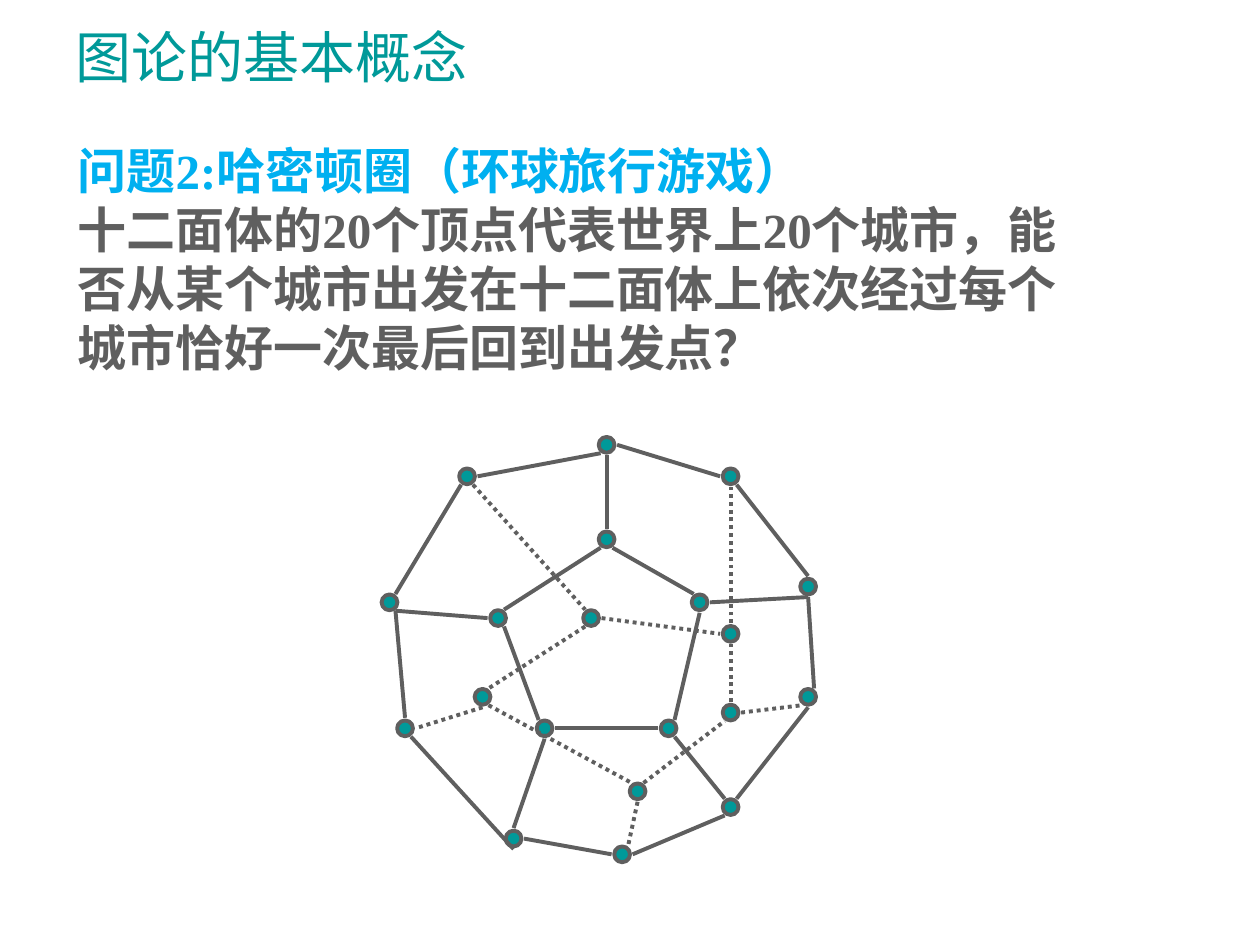
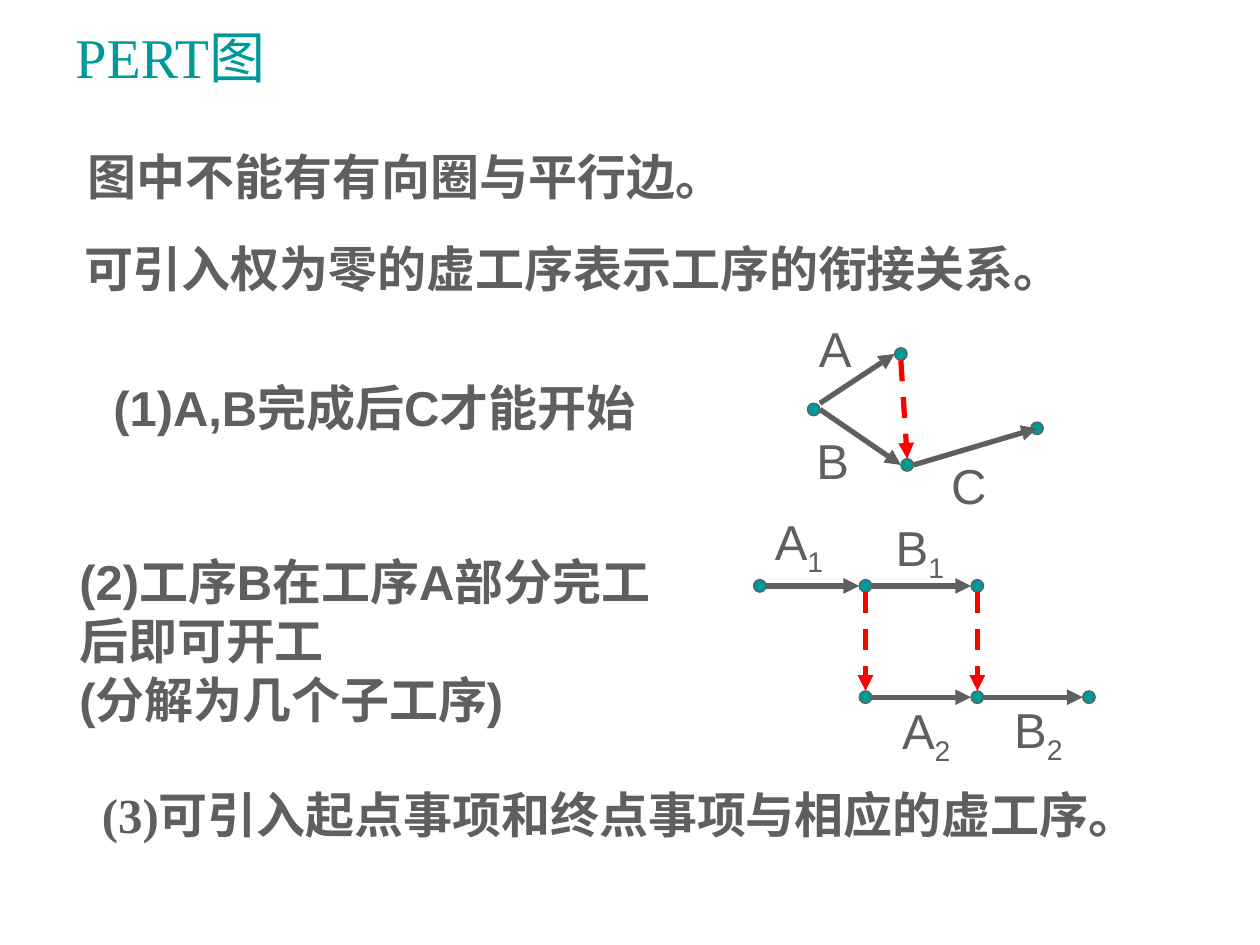
from lxml import etree
from pptx import Presentation
from pptx.dml.color import RGBColor
from pptx.enum import dml, shapes, text
from pptx.oxml.ns import qn
from pptx.util import Pt

TEAL, GREY, BLUE, RED = "009999", "5F5F5F", "00B0F0", "FF0000"
ROMAN, ARIAL = "Times New Roman", "Arial"
BODY = dict(name=ROMAN, size=Pt(28), bold=True, color=GREY)
LABEL = dict(name=ARIAL, size=Pt(28), color=GREY)
TITLE = dict(size=Pt(32), color=TEAL)

SOLID = dict(color=GREY)
DOTTED = dict(color=GREY, dash=dml.MSO_LINE.ROUND_DOT)
DUMMY = dict(color=RED, dash=dml.MSO_LINE.DASH)


def paint(target, color):
    target.rgb = RGBColor.from_string(color)


def write(slide, box, paras, fmt, wrap=True, **layout):
    """Add a text box; each paragraph is a list of (text, font changes)."""
    frame = slide.shapes.add_textbox(*map(Pt, box)).text_frame
    frame.word_wrap = wrap
    frame.auto_size = text.MSO_AUTO_SIZE.SHAPE_TO_FIT_TEXT
    for i, runs in enumerate(paras):
        para = frame.add_paragraph() if i else frame.paragraphs[0]
        for key, val in layout.items():
            setattr(para, key, val)
        for words, change in runs:
            run = para.add_run()
            run.text = words
            for key, val in {**fmt, **change}.items():
                if key == "color":
                    paint(run.font.color, val)
                elif key == "base":
                    run._r.get_or_add_rPr().set("baseline", str(val * 1000))
                else:
                    setattr(run.font, key, val)
    return frame


def lines(*rows):
    return [[(row, {})] for row in rows]


def title(slide, words, font):
    frame = write(slide, (36, 12.2, 653.8, 44.6), lines(words),
                  {**TITLE, "name": font}, line_spacing=0.9)
    frame.auto_size = text.MSO_AUTO_SIZE.NONE
    frame.vertical_anchor = text.MSO_ANCHOR.MIDDLE


def dot(slide, x, y, size, width):
    oval = slide.shapes.add_shape(shapes.MSO_SHAPE.OVAL, Pt(x - size / 2),
                                  Pt(y - size / 2), Pt(size), Pt(size))
    oval.shadow.inherit = False
    oval.fill.solid()
    paint(oval.fill.fore_color, TEAL)
    paint(oval.line.color, GREY)
    oval.line.width = Pt(width)


def edge(slide, start, end, width, color, dash=None, arrow=False):
    link = slide.shapes.add_connector(shapes.MSO_CONNECTOR.STRAIGHT,
                                      *map(Pt, (*start, *end)))
    paint(link.line.color, color)
    link.line.width = Pt(width)
    if dash:
        link.line.dash_style = dash
    if arrow:
        tail = etree.SubElement(link.line._get_or_add_ln(), qn("a:tailEnd"))
        tail.set("type", "triangle")
    etree.SubElement(link._element.spPr, qn("a:effectLst"))


def graph(slide, origin, dots, edges, size, rim, width, reach, slant, arrow=False):
    """Draw dots, then edges given as 'dot+compass side' pairs, by style.

    reach is the gap from a dot's centre on straight sides, slant on diagonals.
    """
    spots = {key: (origin[0] + x, origin[1] + y) for key, (x, y) in dots.items()}
    for x, y in spots.values():
        dot(slide, x, y, size, rim)

    def port(code):
        side = code[1:]
        dx = ("e" in side) - ("w" in side)
        dy = ("s" in side) - ("n" in side)
        gap = slant if dx and dy else (reach, reach)
        x, y = spots[code[0]]
        return x + dx * gap[0], y + dy * gap[1]

    for style, pairs in edges:
        for pair in pairs.split(", "):
            start, end = map(port, pair.split())
            edge(slide, start, end, width, arrow=arrow, **style)


def globe(slide, origin):
    """Dodecahedron whose corners lie on a fine grid."""
    grid = dict(a=(14, 6), b=(7, 11), c=(20, 10), d=(10, 18), e=(18, 18),
                f=(0, 10), g=(5, 2), h=(14, 0), i=(22, 2), j=(27, 9),
                k=(27, 16), l=(22, 23), m=(15, 26), n=(8, 25), o=(1, 18),
                p=(13, 11), q=(6, 16), r=(16, 22), s=(22, 12), t=(22, 17))
    dots = {key: (8.86 * x, 9 * y) for key, (x, y) in grid.items()}
    front = ("ase cnw, cs ene, ew de, dnw bse, bne asw, bw fse, fne gsw, "
             "ge hsw, hs an, he iw, ise jn, js ce, js kne, ks lne, ese lnw, "
             "lsw me, mw ne, nn ds, ns ose, fse on")
    back = ("gse pnw, qs oe, psw qne, qse rnw, rne tsw, tn ss, pe sw, "
            "rs mne, te ksw, sn is")
    graph(slide, origin, dots, [(SOLID, front), (DOTTED, back)], size=9,
          rim=2.25, width=2.25, reach=6, slant=(3.4, 4.8))


def plan(slide, origin, dots, edges, labels, size):
    """Small activity network with its letters."""
    graph(slide, origin, dots, edges, size=7.2, rim=0.75, width=3, reach=3.6,
          slant=(3.6, 3.6), arrow=True)
    for name, (x, y) in labels.items():
        runs = [(name[0], {})] + [(sub, dict(base=-25)) for sub in name[1:]]
        write(slide, (origin[0] + x, origin[1] + y, *size), [runs], LABEL,
              wrap=False, alignment=text.PP_ALIGN.CENTER)


def merge(slide, origin):
    """A and B must both end before C."""
    dots = dict(o=(5, 56), a=(54.8, 24.3), b=(58.4, 87.7), c=(132.6, 66.8))
    plan(slide, origin, dots, [(SOLID, "one aw, oe bw, be c"), (DUMMY, "as bn")],
         dict(A=(0.8, 0.6), B=(-0.6, 64.6), C=(76.4, 79)), (33, 41))


def split(slide, origin):
    """A and B cut into two steps each."""
    cols, rows = [4.2 + 62.7 * i for i in range(4)], (46.8, 110.4)
    cols[1:3] = 64.6, 128.5
    dots = {key: (cols[c], rows[r]) for key, c, r in
            [("a", 0, 0), ("b", 1, 0), ("c", 2, 0),
             ("d", 1, 1), ("e", 2, 1), ("f", 3, 1)]}
    plan(slide, origin, dots,
         [(SOLID, "ae bw, be cw, de ew, ee fw"), (DUMMY, "bs dn, cs en")],
         dict(A1=(5.6, 0.7), B1=(74.7, 4.3), A2=(78.3, 108.7), B2=(142.4, 108)),
         (42, 45))


def tour(slide):
    head = dict(color=BLUE)
    paras = [[("问题2:", head), ("哈密顿圈（环球旅行游戏）", {**head, "name": ARIAL})],
             *lines("十二面体的20个顶点代表世界上20个城市，能",
                    "否从某个城市出发在十二面体上依次经过每个",
                    "城市恰好一次最后回到出发点？")]
    globe(slide, (222.6, 254.2))
    write(slide, (37.4, 77, 634.3, 141.8), paras, BODY)
    title(slide, "图论的基本概念", "Lato")


def pert(slide):
    for x, y, wide, words in [
            (43.2, 79.9, 462, "图中不能有有向圈与平行边。"),
            (41, 132.5, 679, "可引入权为零的虚工序表示工序的衔接关系。"),
            (51.1, 445, 702.7, "(3)可引入起点事项和终点事项与相应的虚工序。")]:
        write(slide, (x, y, wide, 41), lines(words), BODY)
    merge(slide, (460, 178))
    split(slide, (430, 288))
    case = {**BODY, "name": ARIAL}
    write(slide, (47.5, 212.4, 332.6, 41), lines("(1)A,B完成后C才能开始"),
          case, wrap=False, alignment=text.PP_ALIGN.CENTER)
    write(slide, (38.2, 311.8, 373.7, 108),
          lines("(2)工序B在工序A部分完工", "后即可开工", "(分解为几个子工序)"),
          case, wrap=False)
    title(slide, "PERT图", ROMAN)


def main():
    deck = Presentation()
    deck.slide_width, deck.slide_height = Pt(720), Pt(540)
    for build in (tour, pert):
        build(deck.slides.add_slide(deck.slide_layouts[6]))
    deck.save("out.pptx")


if __name__ == "__main__":
    main()
